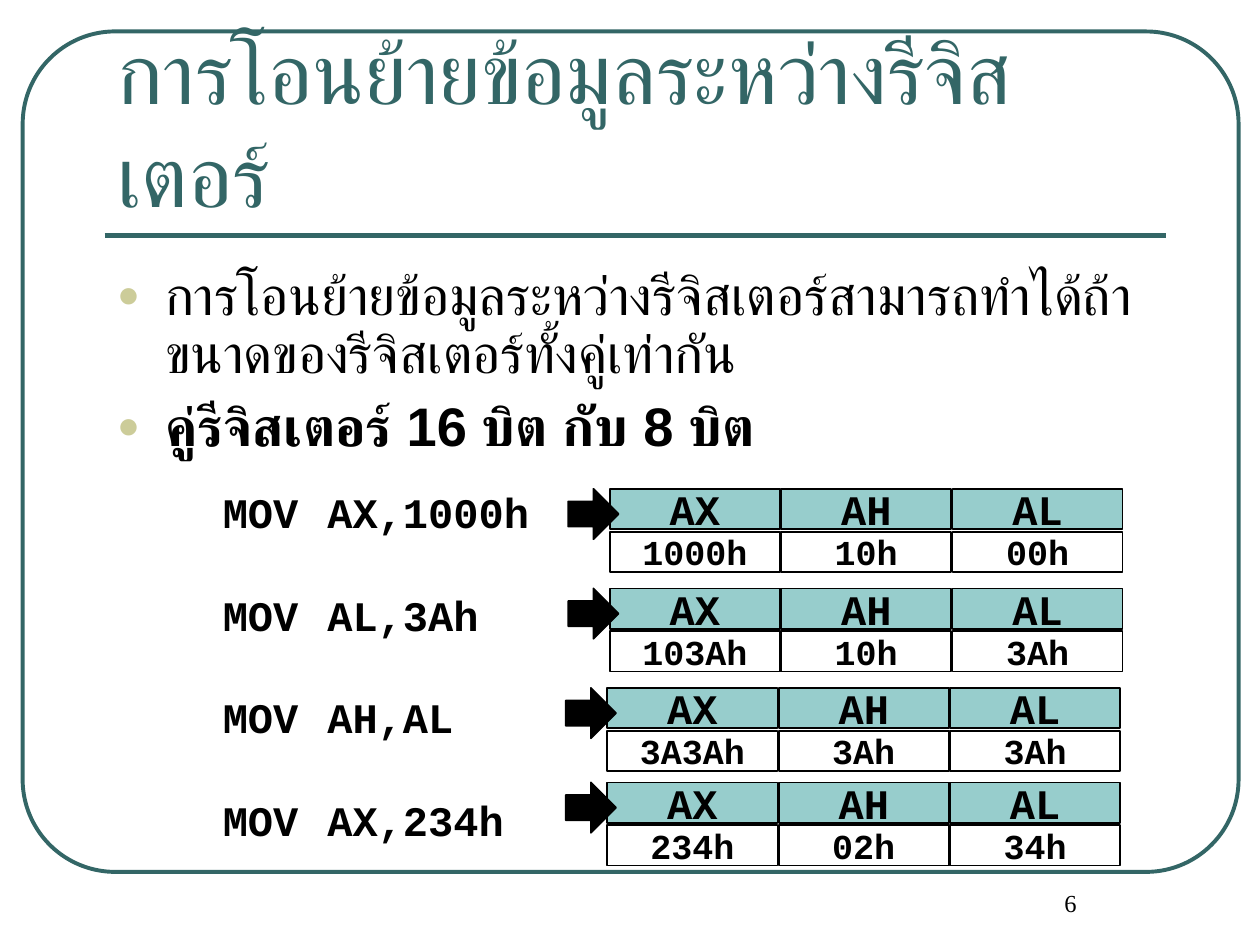
from dataclasses import dataclass

from lxml import etree
from pptx import Presentation
from pptx.dml.color import RGBColor
from pptx.enum import shapes, text
from pptx.oxml import ns
from pptx.util import Inches, Pt


@dataclass(frozen=True)
class Theme:
    teal: str = "336666"
    aqua: str = "97CDCC"
    olive: str = "CCCC99"
    black: str = "000000"
    white: str = "FFFFFF"
    title_font: str = "Montserrat"
    body_font: str = "Arial"
    code_font: str = "Courier New"
    number_font: str = "Times New Roman"
    title_size: int = 49
    body_size: int = 31
    code_size: int = 24
    value_size: int = 20
    number_size: int = 14


T = Theme()
LEFT, CENTER = text.PP_ALIGN.LEFT, text.PP_ALIGN.CENTER
TOP, MIDDLE, BOTTOM = (text.MSO_ANCHOR.TOP, text.MSO_ANCHOR.MIDDLE,
                       text.MSO_ANCHOR.BOTTOM)

TITLE = "การโอนย้ายข้อมูลระหว่างรีจิสเตอร์"
POINTS = [
    ("การโอนย้ายข้อมูลระหว่างรีจิสเตอร์สามารถทำได้ถ้า"
     "ขนาดของรีจิสเตอร์ทั้งคู่เท่ากัน", False),
    ("คู่รีจิสเตอร์ 16 บิต กับ 8 บิต", True),
]
REGISTERS = ["AX", "AH", "AL"]
COMMANDS = ["MOV\tAX,1000h", "MOV\tAL,3Ah", "MOV\tAH,AL", "MOV\tAX,234h"]
STATES = [
    (4.84, 3.88, ["1000h", "10h", "00h"]),
    (4.84, 4.67, ["103Ah", "10h", "3Ah"]),
    (4.82, 5.46, ["3A3Ah", "3Ah", "3Ah"]),
    (4.82, 6.21, ["234h", "02h", "34h"]),
]


def rgb(value):
    return RGBColor.from_string(value)


def add_xml(parent, tag, **attrs):
    return etree.SubElement(parent, ns.qn(tag), attrs)


def place(sp, box):
    sp.left, sp.top, sp.width, sp.height = (Inches(v) for v in box)


def set_frame(tf, anchor=TOP, wrap=True):
    tf.word_wrap = wrap
    tf.auto_size = text.MSO_AUTO_SIZE.NONE
    tf.vertical_anchor = anchor


def write(p, content, size=T.code_size, font=T.code_font, color=T.black,
          bold=False, align=LEFT):
    p.alignment = align
    r = p.add_run()
    r.text = content
    r.font.size = Pt(size)
    r.font.name = font
    r.font.bold = bold
    r.font.color.rgb = rgb(color)
    add_xml(r.font._element, "a:cs", typeface=font)
    return p


def paragraph(tf, i):
    return tf.add_paragraph() if i else tf.paragraphs[0]


def add_block(parent, kind, box, fill=None, line=T.black, width=1):
    sp = parent.add_shape(kind, *(Inches(v) for v in box))
    sp.shadow.inherit = False
    if fill:
        sp.fill.solid()
        sp.fill.fore_color.rgb = rgb(fill)
    else:
        sp.fill.background()
    sp.line.color.rgb = rgb(line)
    sp.line.width = Pt(width)
    return sp


def add_frame(s, box):
    x, y, w, _ = box
    sp = add_block(s.shapes, shapes.MSO_SHAPE.ROUNDED_RECTANGLE, box,
                   line=T.teal, width=2.25)
    sp.adjustments[0] = 0.11
    rule_y = Inches(y + 1.62)
    rule = s.shapes.add_connector(shapes.MSO_CONNECTOR.STRAIGHT,
                                  Inches(x + 0.65), rule_y,
                                  Inches(x + w - 0.58), rule_y)
    rule.line.color.rgb = rgb(T.teal)
    rule.line.width = Pt(3)
    add_xml(rule._element.spPr, "a:effectLst")


def add_title(s, box):
    sp = s.shapes.title
    place(sp, box)
    set_frame(sp.text_frame, BOTTOM)
    write(sp.text_frame.paragraphs[0], TITLE, T.title_size, T.title_font,
          T.teal)


def add_bullet(p):
    pPr = p._p.get_or_add_pPr()
    pPr.set("marL", str(Inches(0.38)))
    pPr.set("indent", str(-Inches(0.38)))
    add_xml(add_xml(pPr, "a:buClr"), "a:srgbClr", val=T.olive)
    add_xml(pPr, "a:buSzPct", val="70000")
    add_xml(pPr, "a:buFont", typeface=T.body_font)
    add_xml(pPr, "a:buChar", char="●")


def add_points(s, box):
    sp = s.placeholders[1]
    place(sp, box)
    tf = sp.text_frame
    set_frame(tf)
    for i, (point, bold) in enumerate(POINTS):
        p = write(paragraph(tf, i), point, T.body_size, T.body_font,
                  bold=bold, align=text.PP_ALIGN.JUSTIFY)
        p.line_spacing = 0.9
        p.space_before = Pt(7.7)
        add_bullet(p)


def add_commands(s, box):
    tf = s.shapes.add_textbox(*(Inches(v) for v in box)).text_frame
    set_frame(tf, wrap=False)
    for i, command in enumerate(COMMANDS):
        p = write(paragraph(tf, i), command, bold=True)
        p.space_after = Pt(30)
        tabs = add_xml(p._p.get_or_add_pPr(), "a:tabLst")
        add_xml(tabs, "a:tab", pos=str(Inches(0.83)), algn="l")


def add_registers(s, x, y, values):
    group = s.shapes.add_group_shape().shapes
    rows = [(REGISTERS, T.aqua, T.code_size), (values, T.white, T.value_size)]
    for i, (labels, fill, size) in enumerate(rows):
        for j, label in enumerate(labels):
            box = (x + j * 1.36, y + i * 0.34, 1.35, 0.32)
            sp = add_block(group, shapes.MSO_SHAPE.RECTANGLE, box, fill)
            set_frame(sp.text_frame, MIDDLE, wrap=False)
            write(sp.text_frame.paragraphs[0], label, size, bold=True,
                  align=CENTER)
    add_block(group, shapes.MSO_SHAPE.RIGHT_ARROW, (x - 0.33, y, 0.4, 0.4),
              T.black)


def add_number(s, box):
    tf = s.shapes.add_textbox(*(Inches(v) for v in box)).text_frame
    set_frame(tf)
    p = write(tf.paragraphs[0], "6", T.number_size, T.number_font,
              align=CENTER)
    p._p.get_or_add_pPr().set("marL", str(Inches(0.24)))


def main():
    prs = Presentation()
    prs.slide_width, prs.slide_height = Inches(10), Inches(7.5)
    s = prs.slides.add_slide(prs.slide_layouts[1])
    add_frame(s, (0.18, 0.25, 9.65, 6.67))
    add_title(s, (0.83, 0.58, 8.42, 1.25))
    add_points(s, (0.83, 2.08, 8.42, 1.74))
    add_commands(s, (1.67, 3.81, 2.64, 3.7))
    for x, y, values in STATES:
        add_registers(s, x, y, values)
    add_number(s, (7.5, 7, 1.75, 0.5))
    prs.save("out.pptx")


if __name__ == "__main__":
    main()
